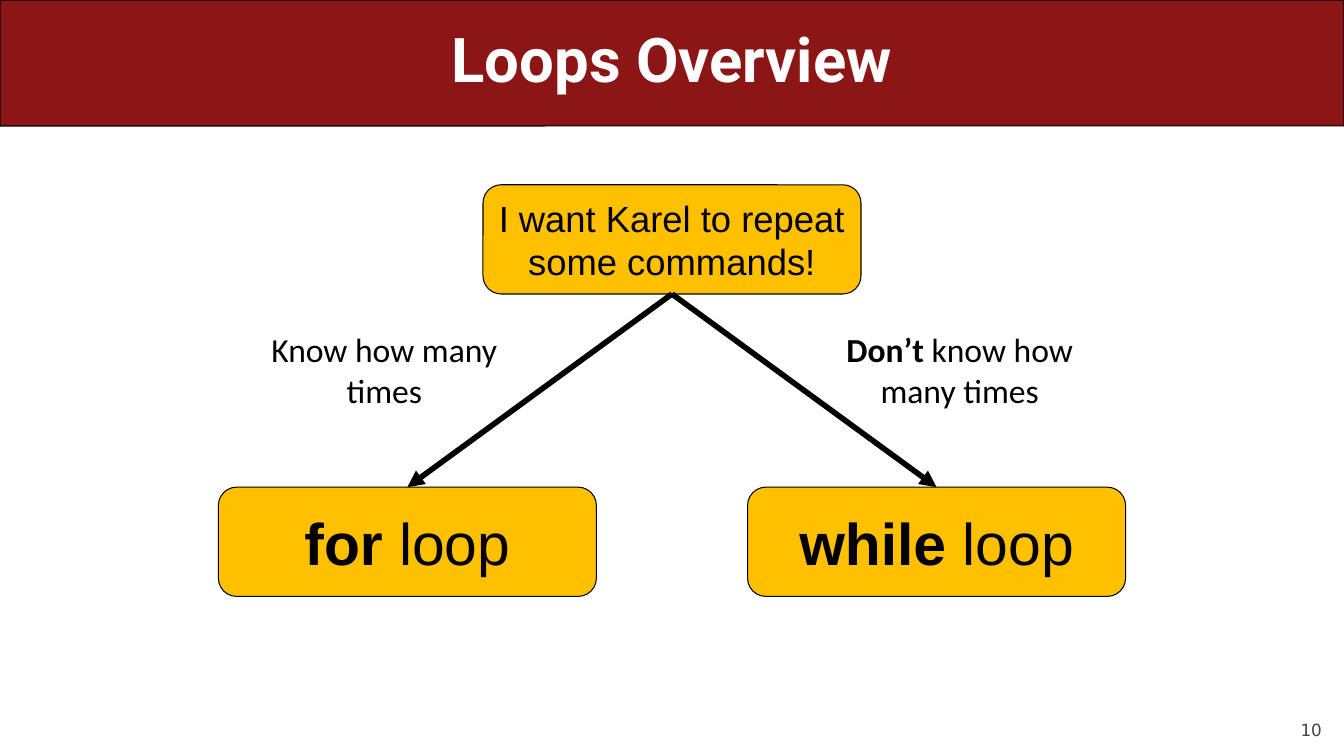
from pptx import Presentation
from pptx.dml.color import RGBColor
from pptx.enum.shapes import MSO_CONNECTOR, MSO_SHAPE
from pptx.enum.text import MSO_ANCHOR, MSO_AUTO_SIZE, PP_ALIGN
from pptx.oxml.ns import qn
from pptx.util import Emu, Pt
from lxml.etree import SubElement

CARDINAL = RGBColor(0x8C, 0x15, 0x15)
AMBER = RGBColor(0xFF, 0xC0, 0x00)
BLACK = RGBColor(0x00, 0x00, 0x00)
WHITE = RGBColor(0xFF, 0xFF, 0xFF)
GREY = RGBColor(0x42, 0x42, 0x42)

EMU_PER_PX = 9525
WIDTH, HEIGHT = 1280, 720
BANNER_HEIGHT = 120
BOX_WIDTH, BOX_HEIGHT = 360, 104
TOP, BOTTOM = 0, 2


def px(*lengths):
    return [Emu(length * EMU_PER_PX) for length in lengths]


class LoopSlide:
    def __init__(self, page):
        self.page = page
        self.shapes = page.shapes

    def add_spans(self, shape, spans, size, font, color=BLACK, align=PP_ALIGN.CENTER):
        """Fill the shape with one paragraph of (text, bold) spans."""
        frame = shape.text_frame
        frame.word_wrap = True
        para = frame.paragraphs[0]
        para.alignment = align
        for text, bold in spans:
            span = para.add_run()
            span.text = text
            span.font.name = font
            span.font.size = Pt(size)
            span.font.bold = bold
            span.font.color.rgb = color
        return para

    def rounded(self, left, top, width, height, fill):
        shape = self.shapes.add_shape(
            MSO_SHAPE.ROUNDED_RECTANGLE, *px(left, top, width, height))
        shape.shadow.inherit = False
        shape.fill.solid()
        shape.fill.fore_color.rgb = fill
        shape.line.color.rgb = BLACK
        shape.line.width = Pt(0.75)
        return shape

    def banner(self):
        """Draw the title band behind everything else."""
        band = self.rounded(0, 0, WIDTH, BANNER_HEIGHT, CARDINAL)
        band.adjustments[0] = 0.001
        self.shapes.title.element.addprevious(band.element)

    def title(self, text):
        title = self.shapes.title
        title.left, title.top, title.width, title.height = px(
            48, 0, WIDTH - 2 * 48, BANNER_HEIGHT)
        title.text_frame.auto_size = MSO_AUTO_SIZE.NONE
        title.text_frame.vertical_anchor = MSO_ANCHOR.MIDDLE
        para = self.add_spans(title, [(text, True)], 44, "Roboto", WHITE)
        para.line_spacing = 0.9

    def box(self, center, top, spans, size):
        box = self.rounded(center - BOX_WIDTH // 2, top, BOX_WIDTH, BOX_HEIGHT, AMBER)
        box.text_frame.vertical_anchor = MSO_ANCHOR.MIDDLE
        self.add_spans(box, spans, size, "Arial")
        return box

    def arrow(self, start, end):
        arrow = self.shapes.add_connector(MSO_CONNECTOR.STRAIGHT, 0, 0, 0, 0)
        arrow.begin_connect(start, BOTTOM)
        arrow.end_connect(end, TOP)
        arrow.line.color.rgb = BLACK
        arrow.line.width = Pt(4)
        properties = arrow.element.spPr
        SubElement(properties.find(qn("a:ln")), qn("a:tailEnd"), type="triangle")
        SubElement(properties, qn("a:effectLst"))

    def caption(self, left, spans):
        caption = self.shapes.add_textbox(*px(left, 309, 252, 87))
        self.add_spans(caption, spans, 24, "Calibri")

    def page_number(self, number):
        box = self.shapes.add_textbox(*px(1152, 667, 107, 38))
        frame = box.text_frame
        frame.margin_left = frame.margin_top = 0
        frame.margin_right = frame.margin_bottom = 0
        frame.vertical_anchor = MSO_ANCHOR.BOTTOM
        self.add_spans(box, [(number, False)], 12, "DejaVu Sans", GREY, PP_ALIGN.RIGHT)


def main():
    deck = Presentation()
    deck.slide_width, deck.slide_height = px(WIDTH, HEIGHT)
    slide = LoopSlide(deck.slides.add_slide(deck.slide_layouts[5]))
    slide.banner()
    slide.title("Loops Overview")

    middle, spread = WIDTH // 2, 252
    question = slide.box(
        middle, 176, [("I want Karel to repeat some commands!", False)], 26)
    for_loop = slide.box(
        middle - spread, 464, [("for", True), (" loop", False)], 42)
    while_loop = slide.box(
        middle + spread, 464, [("while ", True), ("loop", False)], 42)
    for answer in (for_loop, while_loop):
        slide.arrow(question, answer)

    slide.caption(240, [("Know how many times", False)])
    slide.caption(788, [("Don’t ", True), ("know how many times", False)])
    slide.page_number("10")
    deck.save("out.pptx")


if __name__ == "__main__":
    main()
